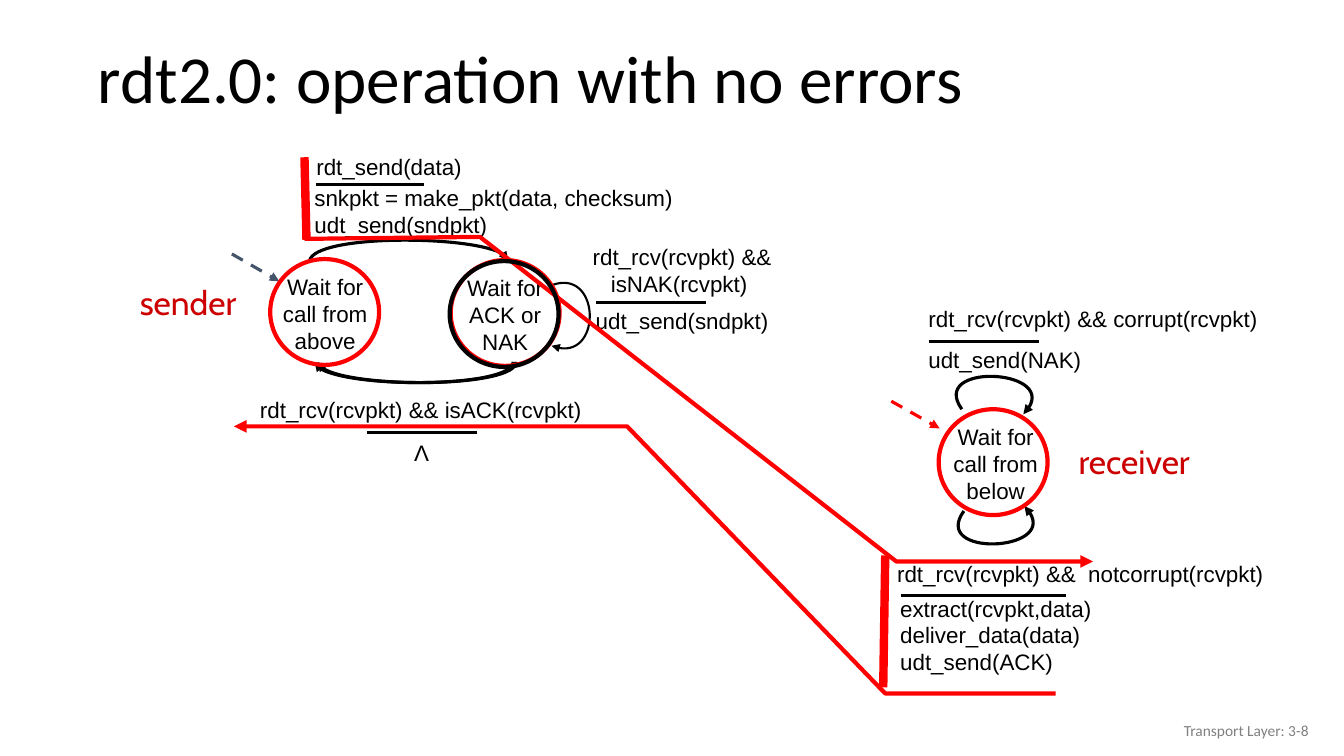
from dataclasses import dataclass

from lxml import etree
from pptx import Presentation
from pptx.dml.color import RGBColor
from pptx.enum.dml import MSO_LINE
from pptx.enum.shapes import MSO_CONNECTOR, MSO_SHAPE
from pptx.enum.text import MSO_ANCHOR, PP_ALIGN
from pptx.oxml.ns import qn
from pptx.util import Emu, Inches, Pt

LEFT, CENTER, RIGHT = PP_ALIGN.LEFT, PP_ALIGN.CENTER, PP_ALIGN.RIGHT
TOP, MIDDLE = MSO_ANCHOR.TOP, MSO_ANCHOR.MIDDLE
DASH = MSO_LINE.DASH
ELLIPSE = MSO_SHAPE.OVAL
STRAIGHT = MSO_CONNECTOR.STRAIGHT

COLUMNS, ROWS = 13.33, 7.5
CELL = Inches(1)
STATE_WIDTH, STATE_HEIGHT = 1.08, 1.05
RULE_WIDTH = 1.09


@dataclass(frozen=True)
class Theme:
    ink: str = "000000"
    paper: str = "FFFFFF"
    trace: str = "FF0000"
    role: str = "CC0000"
    start: str = "44546A"
    footer: str = "808080"
    title_font: str = "Calibri"
    code_font: str = "Arial"
    role_font: str = "Cabin"
    title_size: float = 48
    code_size: float = 16
    role_size: float = 24
    footer_size: float = 11
    thin: float = 1.5
    rule: float = 2.25
    ring: float = 3
    bar: float = 6


@dataclass(frozen=True)
class Box:
    left: float
    top: float
    width: float
    height: float

    def point(self, column, row):
        return Emu(round((self.left + column) * CELL)), Emu(round((self.top + row) * CELL))

    def inner(self, column, row, width, height):
        return Box(self.left + column, self.top + row, width, height)

    def frame(self):
        return *self.point(0, 0), Emu(round(self.width * CELL)), Emu(round(self.height * CELL))


THEME = Theme()


def format_text(text_frame, font, size, color, align):
    for para in text_frame.paragraphs:
        para.alignment = align
        for span in para.runs:
            span.font.name = font
            span.font.size = Pt(size)
            span.font.color.rgb = RGBColor.from_string(color)


def add_text(page, box, text, font=THEME.code_font, size=THEME.code_size,
             color=THEME.ink, align=LEFT, anchor=TOP, wrap=True):
    text_frame = page.shapes.add_textbox(*box.frame()).text_frame
    text_frame.word_wrap = wrap
    text_frame.vertical_anchor = anchor
    text_frame.text = text
    format_text(text_frame, font, size, color, align)
    return text_frame


def add_role(page, box, text):
    add_text(page, box, text, THEME.role_font, THEME.role_size, THEME.role, CENTER, wrap=False)


def style_line(shape, color, weight, arrow=False, dash=None):
    shape.line.color.rgb = RGBColor.from_string(color)
    shape.line.width = Pt(weight)
    if dash:
        shape.line.dash_style = dash
    if arrow:
        outline = shape.line._get_or_add_ln()
        etree.SubElement(outline, qn("a:tailEnd"), type="triangle")


def add_line(page, box, start, end, color=THEME.ink, weight=THEME.rule, arrow=False, dash=None):
    line = page.shapes.add_connector(STRAIGHT, *box.point(*start), *box.point(*end))
    style_line(line, color, weight, arrow, dash)
    etree.SubElement(line._element.spPr, qn("a:effectLst"))


def add_rule(page, box, column, row, width=RULE_WIDTH):
    add_line(page, box, (column, row), (column + width, row))


def add_route(page, box, points, color=THEME.ink, weight=THEME.rule):
    corners = [box.point(*point) for point in points]
    builder = page.shapes.build_freeform(*corners[0])
    builder.add_line_segments(corners[1:], close=False)
    route = builder.convert_to_shape()
    route.shadow.inherit = False
    route.fill.background()
    style_line(route, color, weight, arrow=True)
    return route


def add_curve(page, box, controls, weight=THEME.rule):
    route = add_route(page, box, controls, weight=weight)
    contour = route._element.find(".//" + qn("a:path"))
    bend = etree.SubElement(contour, qn("a:cubicBezTo"))
    for segment in contour.findall(qn("a:lnTo")):
        bend.append(segment[0])
        contour.remove(segment)


def add_ring(page, box, color, weight=THEME.ring, filled=False):
    ring = page.shapes.add_shape(ELLIPSE, *box.frame())
    ring.shadow.inherit = False
    if filled:
        ring.fill.solid()
        ring.fill.fore_color.rgb = RGBColor.from_string(THEME.paper)
    else:
        ring.fill.background()
    style_line(ring, color, weight)


def add_state(page, box, column, row, text, label_left, label_width):
    circle = box.inner(column, row, STATE_WIDTH, STATE_HEIGHT)
    add_ring(page, circle, THEME.ink, THEME.thin, filled=True)
    add_text(page, circle.inner(label_left, 0.09, label_width, 0.67), text, align=CENTER)


def add_title(page, box, text):
    title = page.shapes.title
    title.left, title.top, title.width, title.height = box.frame()
    title.text_frame.text = text
    title.text_frame.vertical_anchor = MIDDLE
    title.text_frame.paragraphs[0].line_spacing = 0.9
    format_text(title.text_frame, THEME.title_font, THEME.title_size, THEME.ink, LEFT)


def add_sender(page, box):
    add_state(page, box, 1.68, 1.57, "Wait for call from above", -0.11, 1.31)
    add_text(page, box.inner(2.02, 0.78, 3.98, 0.44),
             "snkpkt = make_pkt(data, checksum)\nudt_send(sndpkt)")
    add_rule(page, box, 2.13, 0.83, 1.08)
    add_curve(page, box, [(2.07, 1.59), (2.11, 1.32), (4.04, 1.33), (4.04, 1.59)])
    add_curve(page, box, [(4.47, 1.83), (4.95, 1.65), (4.98, 2.63), (4.47, 2.43)], THEME.thin)
    add_text(page, box.inner(4.81, 2, 1.93, 0.44), "udt_send(sndpkt)")
    add_rule(page, box, 4.91, 2)
    add_state(page, box, 3.47, 1.58, "Wait for ACK or NAK", -0.05, 1.18)
    add_text(page, box.inner(2.04, 0.47, 2.47, 0.47), "rdt_send(data)")
    add_line(page, box, (1.3, 1.52), (1.77, 1.79), THEME.start, arrow=True, dash=DASH)

    for shift in (0, 0.03):
        add_curve(page, box, [(4.09 + shift, 2.59), (4.09 + shift, 2.85),
                              (2.17 + shift, 2.86), (2.12 + shift, 2.59)])
    add_text(page, box.inner(1.48, 2.88, 3.88, 0.31), "rdt_rcv(rcvpkt) && isACK(rcvpkt)")
    add_rule(page, box, 2.64, 3.29)
    add_text(page, box.inner(3.01, 3.31, 0.35, 0.37), "Λ", wrap=False)
    add_role(page, box.inner(0.27, 1.75, 1.19, 0.5), "sender")
    waiting = add_text(page, box.inner(4.78, 1.36, 2.28, 0.69),
                       "rdt_rcv(rcvpkt) &&\nisNAK(rcvpkt)")
    waiting.paragraphs[1]._p.get_or_add_pPr().set("marL", str(Inches(0.18)))


def add_receiver(page, box):
    add_text(page, box.inner(1.11, 1.38, 2, 0.28), "udt_send(NAK)")
    add_rule(page, box, 1.21, 1.39)
    add_curve(page, box, [(1.54, 2.06), (1.21, 1.6), (2.59, 1.66), (2.15, 2.11)])
    add_state(page, box, 1.31, 2.06, "Wait for call from below", -0.09, 1.31)
    add_curve(page, box, [(1.56, 3.07), (1.23, 3.53), (2.6, 3.47), (2.16, 3.02)])
    add_line(page, box, (0.84, 1.98), (1.32, 2.25), THEME.trace, arrow=True, dash=DASH)
    add_text(page, box.inner(1.11, 0.98, 3.71, 0.34), "rdt_rcv(rcvpkt) && corrupt(rcvpkt)")
    add_text(page, box.inner(0.83, 3.85, 2.34, 0.68),
             "extract(rcvpkt,data)\ndeliver_data(data)\nudt_send(ACK)")
    add_text(page, box.inner(0.8, 3.51, 4.53, 0.77), "rdt_rcv(rcvpkt) &&  notcorrupt(rcvpkt)")
    add_rule(page, box, 0.94, 3.91, 1.63)
    add_role(page, box.inner(2.57, 2.33, 1.36, 0.5), "receiver")


def add_trace(page, box):
    add_line(page, box, (2.02, 0.56), (2.04, 1.38), THEME.trace, THEME.bar)
    add_line(page, box, (7.78, 4.51), (7.76, 5.82), THEME.trace, THEME.bar)
    data_route = [(2.02, 1.37), (3.76, 1.35), (7.89, 4.57), (9.84, 4.57)]
    reply_route = [(9.47, 5.88), (7.78, 5.88), (5.22, 3.23), (1.32, 3.23)]
    for route in (data_route, reply_route):
        add_route(page, box, route, THEME.trace, THEME.ring)
    rings = [(8.31, 3.06, THEME.trace), (3.47, 1.58, THEME.trace),
             (1.68, 1.57, THEME.trace), (3.46, 1.59, THEME.ink)]
    for column, row, color in rings:
        add_ring(page, box.inner(column, row, STATE_WIDTH, STATE_HEIGHT), color)


def main():
    deck = Presentation()
    deck.slide_width, deck.slide_height = Inches(COLUMNS), Inches(ROWS)
    page = deck.slides.add_slide(deck.slide_layouts[5])
    add_title(page, Box(0.87, 0.32, 12.14, 0.98), "rdt2.0: operation with no errors")
    add_sender(page, Box(1, 1, 7, 4))
    add_receiver(page, Box(8, 2, 5.33, 5))
    add_trace(page, Box(1, 1, 10, 6))
    add_text(page, Box(10.08, 7.05, 3, 0.4), "Transport Layer: 3-8", THEME.title_font,
             THEME.footer_size, THEME.footer, RIGHT, MIDDLE)
    deck.save("out.pptx")


if __name__ == "__main__":
    main()
